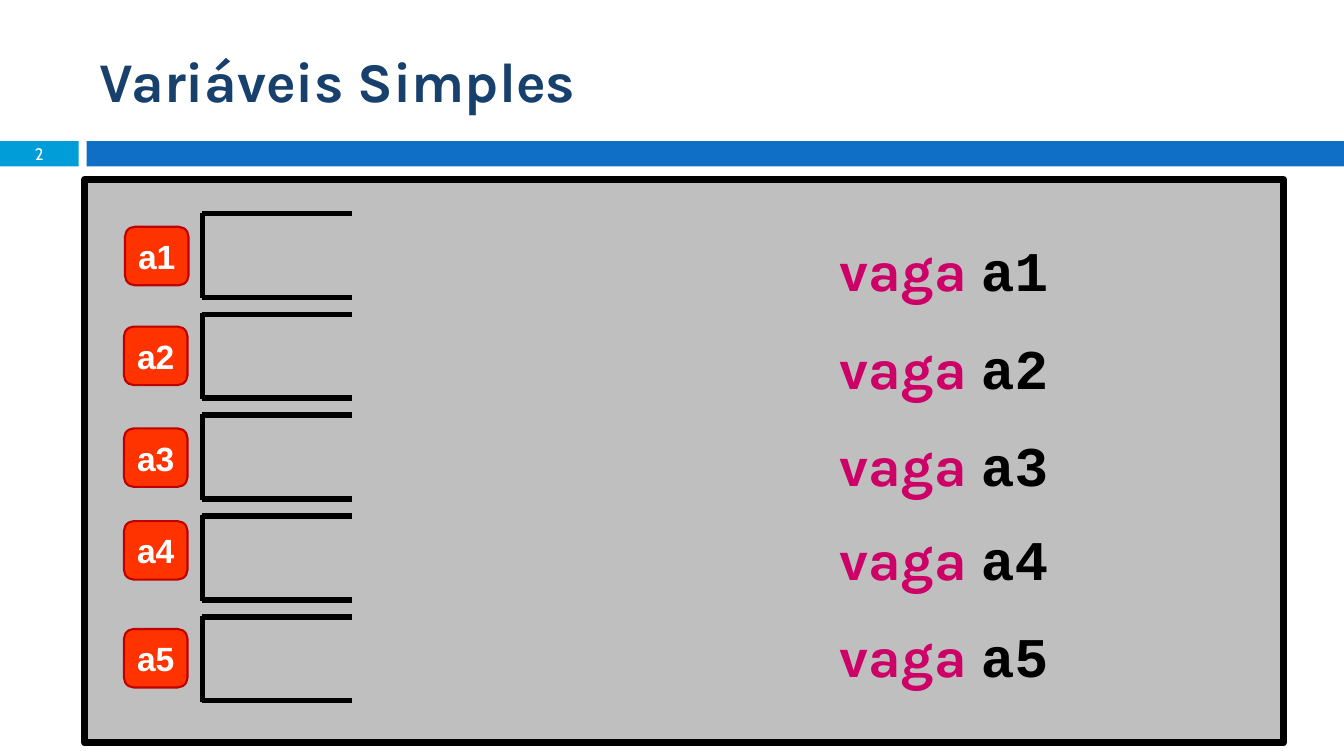
import pptx
import pptx.dml.color
import pptx.enum.shapes
import pptx.enum.text
import pptx.util
from lxml import etree
from pptx.oxml.ns import qn
from pptx.util import Inches

COLOURS = {
    "number_bar": "009DD9",
    "title_bar": "0F6FC6",
    "title": "17406D",
    "panel": "BFBFBF",
    "badge": "FF3300",
    "badge_line": "C00000",
    "keyword": "CC0066",
    "black": "000000",
    "white": "FFFFFF",
}
TITLE = {"name": "Karla", "size": pptx.util.Pt(40), "bold": True}
NUMBER = {"name": "Cabin", "size": pptx.util.Pt(11.9), "bold": False}
BADGE = {"name": "Arial", "size": pptx.util.Pt(24), "bold": True}
VARIABLE = {"name": "Courier New", "size": pptx.util.Pt(40), "bold": True}

# name, badge left, badge top, declaration top
VARIABLES = [
    ("a1", 1.24, 2.25, 2.15),
    ("a2", 1.23, 3.24, 3.13),
    ("a3", 1.23, 4.25, 4.09),
    ("a4", 1.23, 5.17, 5.02),
    ("a5", 1.23, 6.24, 5.98),
]
SPACE_TOP, SPACE_PITCH, SPACE_HEIGHT = 2.12, 1, 0.83
SPACE_LEFT, SPACE_RIGHT = 2.01, 3.49


def colour(key):
    return pptx.dml.color.RGBColor.from_string(COLOURS[key])


def set_all(target, values):
    for name, value in values.items():
        setattr(target, name, value)


def add_span(para, text, font, key):
    span = para.add_run()
    span.text = text
    set_all(span.font, font)
    span.font.color.rgb = colour(key)


def set_frame(frame, wrap=True, side=0.0, top=0.0, bottom=0.0):
    set_all(frame, {
        "word_wrap": wrap,
        "auto_size": pptx.enum.text.MSO_AUTO_SIZE.NONE,
        "vertical_anchor": pptx.enum.text.MSO_ANCHOR.MIDDLE,
        "margin_left": Inches(side),
        "margin_right": Inches(side),
        "margin_top": Inches(top),
        "margin_bottom": Inches(bottom),
    })


def add_box(page, kind, place, fill, line=None, width=0):
    shapes = pptx.enum.shapes.MSO_SHAPE
    box = page.shapes.add_shape(getattr(shapes, kind), *map(Inches, place))
    box.shadow.inherit = False
    box.fill.solid()
    box.fill.fore_color.rgb = colour(fill)
    if line:
        box.line.color.rgb = colour(line)
        box.line.width = pptx.util.Pt(width)
    else:
        box.line.fill.background()
    return box


def add_centred_text(box, text, font):
    set_frame(box.text_frame)
    para = box.text_frame.paragraphs[0]
    para.alignment = pptx.enum.text.PP_ALIGN.CENTER
    add_span(para, text, font, "white")


def add_title(page, text):
    title = page.shapes.title
    set_all(title, {"left": Inches(0.89), "top": Inches(0.25),
                    "width": Inches(11.89), "height": Inches(1.08)})
    set_frame(title.text_frame, side=0.1, top=0.05, bottom=0.05)
    para = title.text_frame.paragraphs[0]
    para.alignment = pptx.enum.text.PP_ALIGN.LEFT
    add_span(para, text, TITLE, "title")


def add_parking_space(page, top):
    """Draw a bracket that is open on the right."""
    bottom = top + SPACE_HEIGHT
    edges = [
        (SPACE_RIGHT, top, SPACE_LEFT - 0.01, top),
        (SPACE_RIGHT, bottom, SPACE_LEFT - 0.01, bottom),
        (SPACE_LEFT, top - 0.01, SPACE_LEFT, bottom + 0.01),
    ]
    group = page.shapes.add_group_shape()
    for edge in edges:
        line = group.shapes.add_connector(
            pptx.enum.shapes.MSO_CONNECTOR.STRAIGHT, *map(Inches, edge))
        line.line.color.rgb = colour("black")
        line.line.width = pptx.util.Pt(4)
        etree.SubElement(line._element.spPr, qn("a:effectLst"))


def add_declaration(page, name, top):
    box = page.shapes.add_textbox(*map(Inches, (8.04, top, 2.52, 0.88)))
    set_frame(box.text_frame, wrap=False, side=0.1, top=0.2, bottom=0.05)
    para = box.text_frame.paragraphs[0]
    para.space_after = pptx.util.Pt(6)
    properties = para._p.get_or_add_pPr()
    properties.set("marL", str(Inches(0.19)))
    properties.set("indent", "0")
    add_span(para, "vaga ", TITLE, "keyword")
    add_span(para, name, VARIABLE, "black")


def main():
    deck = pptx.Presentation()
    deck.slide_width, deck.slide_height = Inches(13.33), Inches(7.5)
    page = deck.slides.add_slide(deck.slide_layouts[5])

    number_bar = add_box(page, "RECTANGLE", (0, 1.4, 0.78, 0.25), "number_bar")
    add_centred_text(number_bar, "2", NUMBER)
    add_box(page, "RECTANGLE", (0.86, 1.4, 12.47, 0.25), "title_bar")
    add_title(page, "Variáveis Simples")
    add_box(page, "RECTANGLE", (0.84, 1.78, 11.89, 5.59), "panel", "black", 5)

    for row, (name, badge_left, badge_top, text_top) in enumerate(VARIABLES):
        add_parking_space(page, SPACE_TOP + row * SPACE_PITCH)
        badge = add_box(page, "ROUNDED_RECTANGLE",
                        (badge_left, badge_top, 0.63, 0.58),
                        "badge", "badge_line", 1.5)
        add_centred_text(badge, name, BADGE)
        add_declaration(page, name, text_top)

    deck.save("out.pptx")


if __name__ == "__main__":
    main()
